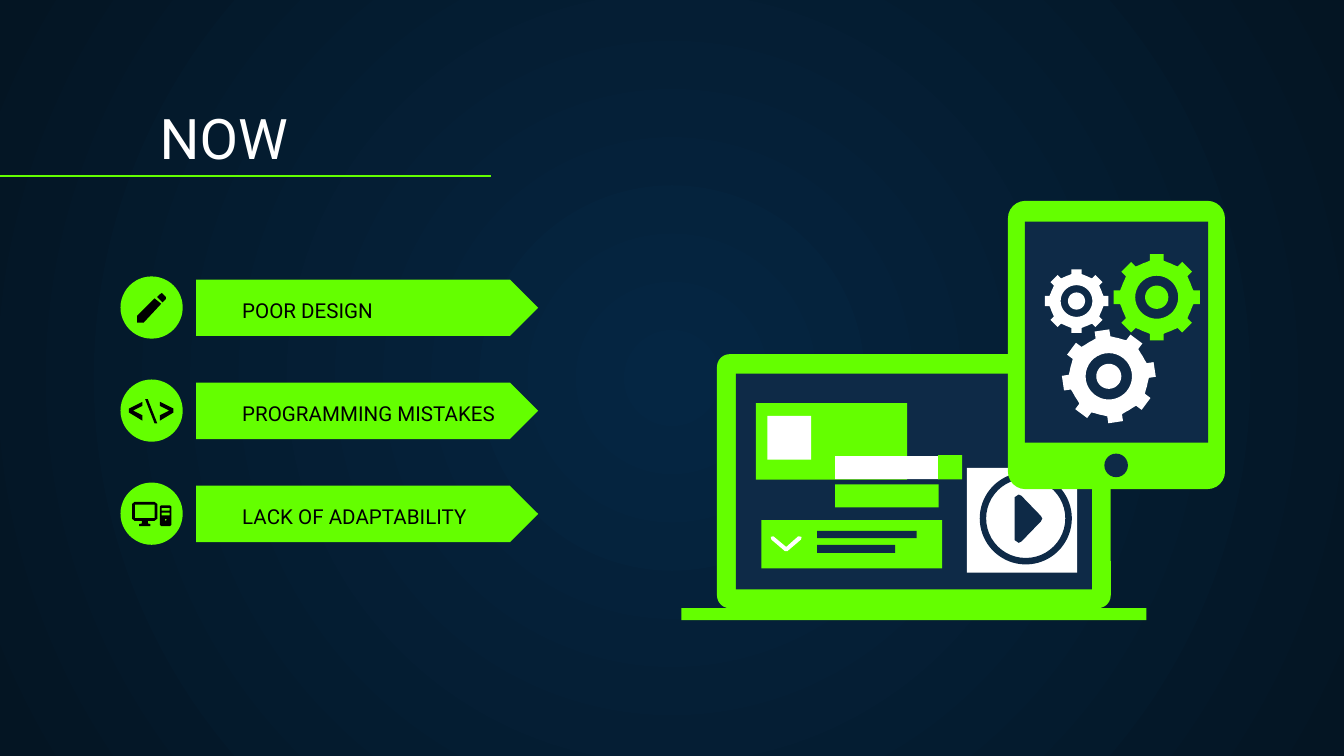
"""Build the NOW slide on a grid of 100 columns by 56.25 rows."""
import math
from dataclasses import dataclass

import pptx
import pptx.dml.color
import pptx.enum.shapes
import pptx.enum.text
import pptx.oxml
import pptx.oxml.ns
import pptx.util

RGBColor = pptx.dml.color.RGBColor
SHAPE = pptx.enum.shapes.MSO_SHAPE
GREEN = RGBColor(0x64, 0xFF, 0x00)
NAVY = RGBColor(0x0E, 0x2A, 0x47)
WHITE = RGBColor(0xFF, 0xFF, 0xFF)
BLACK = RGBColor(0, 0, 0)
CENTRE = RGBColor(0x05, 0x26, 0x43)
EDGE = RGBColor(0x04, 0x15, 0x23)

COLS, ROWS = 100, 56.25
CELL = pptx.util.Inches(0.1)
ROW_TOP, ROW_PITCH = 20.6, 7.67
LABELS = ("POOR DESIGN", "PROGRAMMING MISTAKES", "LACK OF ADAPTABILITY")
TEETH = 8
Contour = list[tuple[float, float]]


@dataclass
class Block:
    """A preset shape placed on the grid."""
    x: float
    y: float
    w: float
    h: float
    color: RGBColor
    kind: SHAPE = SHAPE.RECTANGLE
    adjust: float = 0


@dataclass
class Polygon:
    """One or more closed contours; inner ones cut holes."""
    color: RGBColor
    contours: list[Contour]


@dataclass
class Gear:
    """A toothed wheel with a ring and a hub."""
    x: float
    y: float
    radius: float
    color: RGBColor
    turn: float = 0


def box(x: float, y: float, w: float, h: float) -> Contour:
    """Return a rectangular contour."""
    return [(x, y), (x, y + h), (x + w, y + h), (x + w, y)]


def circle(x: float, y: float, r: float, steps: int = 36) -> Contour:
    """Return a round contour."""
    angles = [-2 * math.pi * i / steps for i in range(steps)]
    return [(x + r * math.cos(a), y + r * math.sin(a)) for a in angles]


ICONS = [
    Polygon(BLACK, [
        [(11.9, 21.9), (12.05, 21.8), (12.35, 22.1), (12.35, 22.25), (12.1, 22.5), (11.7, 22.1)],
        [(11.5, 22.2), (12, 22.6), (10.7, 24), (10.2, 24), (10.2, 23.5)]]),
    Polygon(BLACK, [[(10.6, 31.3), (9.6, 30.7), (9.6, 30.4), (10.6, 29.9),
                     (10.6, 30.2), (9.9, 30.55), (10.6, 30.9)]]),
    Polygon(BLACK, [[(11.5, 31.5), (10.8, 29.7), (11, 29.7), (11.7, 31.5)]]),
    Polygon(BLACK, [[(11.9, 31.3), (11.9, 30.9), (12.6, 30.55), (11.9, 30.2),
                     (11.9, 29.9), (12.9, 30.4), (12.9, 30.7)]]),
    Polygon(BLACK, [
        [(10, 37.35), (11.5, 37.35), (11.7, 37.5), (11.7, 38.6), (11.5, 38.75), (11, 38.75), (11, 38.95),
         (11.2, 39), (11.2, 39.15), (10.35, 39.15), (10.35, 39), (10.55, 38.95), (10.55, 38.75),
         (10, 38.75), (9.83, 38.6), (9.83, 37.5)],
        box(10.03, 37.55, 1.47, 1)]),
    Polygon(BLACK, [
        [(12, 37.6), (12.65, 37.6), (12.75, 37.7), (12.75, 39.05), (12.65, 39.15),
         (12, 39.15), (11.9, 39.05), (11.9, 37.7)],
        box(12.03, 37.8, 0.6, 0.2), box(12.03, 38.15, 0.6, 0.2), circle(12.33, 38.68, 0.07)]),
]
LAPTOP = [
    Block(53.35, 26.35, 29.3, 18.9, GREEN, SHAPE.ROUNDED_RECTANGLE, 0.05),
    Block(54.75, 27.8, 26.5, 16.05, NAVY),
    Block(50.7, 45.25, 34.6, 0.9, GREEN),
    Block(56.25, 30, 11.25, 5.7, GREEN),
    Block(57.1, 30.95, 3.25, 3.25, WHITE),
    Block(56.65, 38.7, 13.45, 3.6, GREEN),
    Block(60.8, 39.5, 7.4, 0.55, NAVY),
    Block(60.8, 40.55, 5.8, 0.6, NAVY),
    Polygon(WHITE, [[(57.55, 39.9), (58.5, 40.7), (59.4, 39.9), (59.65, 39.95), (59.6, 40.15),
                     (58.6, 41), (58.4, 41), (57.4, 40.15), (57.35, 39.95)]]),
    Block(62.15, 36.05, 7.7, 1.7, GREEN),
    Block(62.15, 33.95, 7.7, 1.7, WHITE),
    Block(69.8, 33.87, 1.8, 1.8, GREEN),
    Block(71.95, 34.82, 8.2, 7.8, WHITE),
    Block(72.9, 35.15, 6.85, 6.85, NAVY, SHAPE.DONUT, 0.07),
    Polygon(NAVY, [[(75.5, 37), (75.8, 36.8), (76, 36.9), (77.45, 38.4), (77.55, 38.6),
                    (77.45, 38.8), (76, 40.3), (75.8, 40.4), (75.5, 40.2)]]),
]
TABLET = [
    Block(75, 14.95, 16.15, 21.45, GREEN, SHAPE.ROUNDED_RECTANGLE, 0.08),
    Block(76.25, 16.5, 13.65, 16.45, NAVY),
    Block(82.17, 33.75, 1.75, 1.75, NAVY, SHAPE.OVAL),
]
GEARS = [
    Gear(86.07, 22.12, 3.2, GREEN),
    Gear(80.1, 22.4, 2.36, WHITE),
    Gear(82.5, 28, 3.45, WHITE, -8.5),
]


def u(cells: float) -> int:
    """Turn grid cells into EMU."""
    return round(cells * CELL)


def paint(sp, color: RGBColor) -> None:
    """Fill a shape plainly, without line or shadow."""
    sp.shadow.inherit = False
    sp.fill.solid()
    sp.fill.fore_color.rgb = color
    sp.line.fill.background()


def add_block(s, b: Block) -> None:
    """Draw a preset shape."""
    sp = s.shapes.add_shape(b.kind, u(b.x), u(b.y), u(b.w), u(b.h))
    if b.adjust:
        sp.adjustments[0] = b.adjust
    paint(sp, b.color)


def add_polygon(s, polygon: Polygon) -> None:
    """Draw all contours as one freeform."""
    builder = None
    for contour in polygon.contours:
        start, *rest = [(u(x), u(y)) for x, y in contour]
        if builder is None:
            builder = s.shapes.build_freeform(*start)
        else:
            builder.move_to(*start)
        builder.add_line_segments(rest, close=True)
    paint(builder.convert_to_shape(), polygon.color)


def add_items(s, items: list[Block | Polygon]) -> None:
    """Draw blocks and polygons from back to front."""
    for item in items:
        if isinstance(item, Block):
            add_block(s, item)
        else:
            add_polygon(s, item)


def add_gear(s, g: Gear) -> None:
    """Draw a gear whose parts are shares of its radius."""
    root, half = 0.85 * g.radius, 0.16 * g.radius
    outline = []
    for i in range(TEETH):
        a = math.radians(g.turn + i * 360 / TEETH)
        tooth = [(root, -half), (g.radius, -half), (g.radius, half), (root, half)]
        rim = [(root * math.cos(t), root * math.sin(t)) for t in (0.3, 0.4, 0.5)]
        outline += [(g.x + x * math.cos(a) - y * math.sin(a),
                     g.y + x * math.sin(a) + y * math.cos(a)) for x, y in tooth + rim]
    ring, hub = circle(g.x, g.y, 0.5 * g.radius), circle(g.x, g.y, 0.27 * g.radius)
    add_polygon(s, Polygon(g.color, [outline, ring, hub[::-1]]))


def add_text(s, text: str, x: float, y: float, w: float, h: float, size: float, color: RGBColor) -> None:
    """Add one line of bottom-anchored text."""
    tf = s.shapes.add_textbox(u(x), u(y), u(w), u(h)).text_frame
    tf.word_wrap = True
    tf.vertical_anchor = pptx.enum.text.MSO_ANCHOR.BOTTOM
    tf.margin_left = tf.margin_right = tf.margin_top = tf.margin_bottom = CELL
    tf.text = text
    font = tf.paragraphs[0].runs[0].font
    font.name, font.size, font.color.rgb = "Roboto", pptx.util.Pt(size), color


def set_background(s) -> None:
    """Give the slide a radial gradient."""
    fill = s.background.fill
    fill.gradient()
    for stop, color in zip(fill.gradient_stops, (CENTRE, EDGE)):
        stop.color.rgb = color
    lin = s.element.find(".//" + pptx.oxml.ns.qn("a:lin"))
    lin.getparent().replace(lin, pptx.oxml.parse_xml(
        f'<a:path {pptx.oxml.ns.nsdecls("a")} path="circle">'
        '<a:fillToRect l="50000" t="50000" r="50000" b="50000"/></a:path>'))


def add_rule(s) -> None:
    """Draw the line under the title."""
    c = s.shapes.add_connector(pptx.enum.shapes.MSO_CONNECTOR.STRAIGHT, 0, u(13.1), u(36.5), u(13.1))
    c.line.color.rgb, c.line.width = GREEN, pptx.util.Pt(0.75)
    c.element.spPr.append(pptx.oxml.parse_xml(f'<a:effectLst {pptx.oxml.ns.nsdecls("a")}/>'))


def main() -> None:
    """Build and save the slide."""
    prs = pptx.Presentation()
    prs.slide_width, prs.slide_height = u(COLS), u(ROWS)
    s = prs.slides.add_slide(prs.slide_layouts[6])
    set_background(s)
    add_text(s, "NOW", 10.9, 7.1, 85.7, 6.6, 30, WHITE)
    add_rule(s)
    for i, label in enumerate(LABELS):
        y = ROW_TOP + i * ROW_PITCH
        add_block(s, Block(14.6, y + 0.2, 25.45, 4.2, GREEN, SHAPE.PENTAGON))
        add_block(s, Block(8.97, y - 0.03, 4.63, 4.63, GREEN, SHAPE.OVAL))
        add_text(s, label, 17.04, y + 2.25, 22.7, 2.1, 11, BLACK)
    add_items(s, ICONS + LAPTOP + TABLET)
    for gear in GEARS:
        add_gear(s, gear)
    prs.save("out.pptx")


if __name__ == "__main__":
    main()
